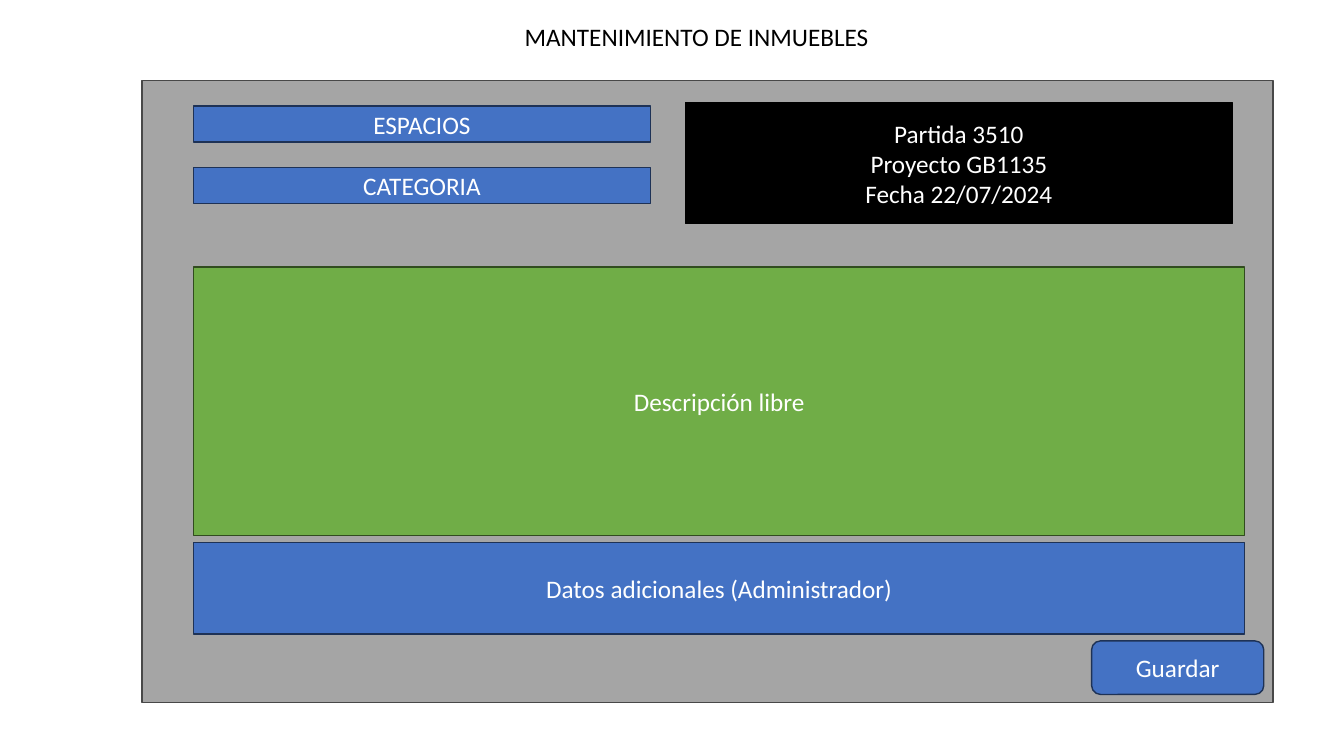
"""Builds the property maintenance form slide."""
from pptx import Presentation
from pptx import util as u
from pptx.dml.color import RGBColor
from pptx.enum import shapes, text

COLOURS = {
    "panel": "A5A5A5", "panel_line": "484848",
    "field": "4472C4", "field_line": "1E3256",
    "notes": "70AD47", "notes_line": "314C1F",
    "summary": "000000", "summary_line": "000000",
    "light": "FFFFFF", "dark": "000000",
}
FIELD_LEFT, FIELD_WIDTH, FIELD_HEIGHT = 4.88, 11.51, 0.91
FIELD_TOP, FIELD_STEP = 2.67, 1.55
WIDE_WIDTH = 26.49


class FormSlide:
    """Holds the text style and the slide being filled."""

    def __init__(self, presentation):
        """Adds a title-only slide."""
        self.font = {"name": "Calibri", "size": u.Pt(18), "bold": False}
        self.slide = presentation.slides.add_slide(presentation.slide_layouts[5])

    def label(self, shape, words, colour, anchor):
        """Puts centred lines of text into a shape."""
        frame = shape.text_frame
        frame.text = words
        settings = {"word_wrap": True, "auto_size": text.MSO_AUTO_SIZE.NONE,
                    "vertical_anchor": anchor}
        for name, value in settings.items():
            setattr(frame, name, value)
        for paragraph in frame.paragraphs:
            paragraph.alignment = text.PP_ALIGN.CENTER
            for run in paragraph.runs:
                for name, value in self.font.items():
                    setattr(run.font, name, value)
                run.font.color.rgb = RGBColor.from_string(COLOURS[colour])

    def title(self, words, left, top, width, height):
        """Places and fills the title placeholder."""
        shape = self.slide.shapes.title
        box = {"left": left, "top": top, "width": width, "height": height}
        for name, value in box.items():
            setattr(shape, name, u.Cm(value))
        self.label(shape, words, "dark", text.MSO_ANCHOR.TOP)

    def block(self, style, words, left, top, width, height,
              kind=shapes.MSO_SHAPE.RECTANGLE):
        """Adds a filled, outlined block with optional text."""
        box = [u.Cm(value) for value in (left, top, width, height)]
        shape = self.slide.shapes.add_shape(kind, *box)
        shape.shadow.inherit = False
        shape.fill.solid()
        shape.fill.fore_color.rgb = RGBColor.from_string(COLOURS[style])
        shape.line.color.rgb = RGBColor.from_string(COLOURS[style + "_line"])
        shape.line.width = u.Pt(1)
        if words:
            self.label(shape, words, "light", text.MSO_ANCHOR.MIDDLE)


def main():
    """Builds and saves the presentation."""
    presentation = Presentation()
    presentation.slide_width = u.Cm(33.87)
    presentation.slide_height = u.Cm(19.05)
    form = FormSlide(presentation)
    form.title("MANTENIMIENTO DE INMUEBLES", 4.65, 0.41, 25.81, 1.02)
    form.block("panel", "", 3.58, 2.03, 28.5, 15.67)
    for row, name in enumerate(("ESPACIOS", "CATEGORIA")):
        form.block("field", name, FIELD_LEFT, FIELD_TOP + row * FIELD_STEP,
                   FIELD_WIDTH, FIELD_HEIGHT)
    form.block("summary", "Partida 3510\nProyecto GB1135\nFecha 22/07/2024",
               17.27, 2.59, 13.79, 3.05)
    form.block("notes", "Descripción libre", FIELD_LEFT, 6.73, WIDE_WIDTH, 6.76)
    form.block("field", "Datos adicionales (Administrador)",
               FIELD_LEFT, 13.67, WIDE_WIDTH, 2.31)
    form.block("field", "Guardar", 27.51, 16.15, 4.34, 1.35,
               shapes.MSO_SHAPE.ROUNDED_RECTANGLE)
    presentation.save("out.pptx")


if __name__ == "__main__":
    main()
